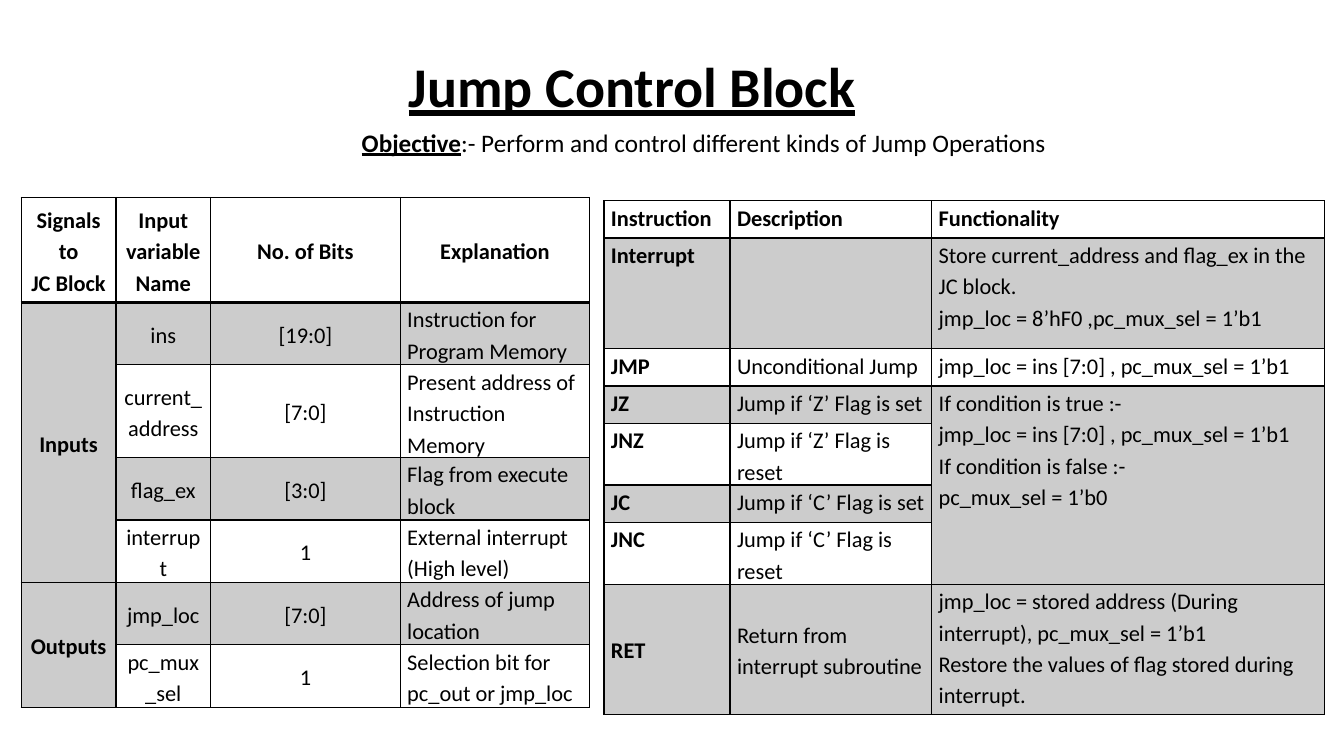
from dataclasses import dataclass

from lxml import etree
from pptx import Presentation
from pptx.dml.color import RGBColor
from pptx.enum.text import MSO_ANCHOR, PP_ALIGN
from pptx.oxml.ns import qn
from pptx.util import Inches, Pt

LEFT, CENTER = PP_ALIGN.LEFT, PP_ALIGN.CENTER
TOP, MIDDLE = MSO_ANCHOR.TOP, MSO_ANCHOR.MIDDLE
COLORS = {"ink": "000000"}
FONT = "Calibri"
SHADE_ALPHA = 20000  # 20 % in thousandths of a percent


@dataclass
class TableSpec:
    position: tuple[float, float]
    column_widths: list[float]
    row_heights: list[float]
    rows: list[list[str]]
    alignments: list[PP_ALIGN]
    merges: list[tuple[int, int, int]]  # first row, last row, column
    middle_cells: set[tuple[int, int]]


def style_run(run, size: float, bold: bool = False, underline: bool = False) -> None:
    run.font.name = FONT
    run.font.size = Pt(size)
    run.font.bold = bold
    run.font.underline = underline
    run.font.color.rgb = RGBColor.from_string(COLORS["ink"])


def add_paragraph_box(slide, left: float, top: float, width: float, height: float):
    frame = slide.shapes.add_textbox(
        Inches(left), Inches(top), Inches(width), Inches(height)).text_frame
    frame.word_wrap = True
    return frame.paragraphs[0]


def add_border(cell, side: str, points: float) -> None:
    line = etree.SubElement(cell._tc.get_or_add_tcPr(), qn(f"a:ln{side}"), w=str(Pt(points)))
    fill = etree.SubElement(line, qn("a:solidFill"))
    etree.SubElement(fill, qn("a:srgbClr"), val=COLORS["ink"])


def shade(cell) -> None:
    cell.fill.solid()
    cell.fill.fore_color.rgb = RGBColor.from_string(COLORS["ink"])
    color = cell._tc.tcPr.find(qn("a:solidFill")).find(qn("a:srgbClr"))
    etree.SubElement(color, qn("a:alpha"), val=str(SHADE_ALPHA))


def format_cell(cell, row: int, column: int, spec: TableSpec) -> None:
    cell.margin_left = cell.margin_right = Inches(0.07)
    cell.margin_top = cell.margin_bottom = 0
    cell.vertical_anchor = MIDDLE if (row, column) in spec.middle_cells else TOP

    # The rule under the header is heavier than the grid
    for side in "LRTB":
        under_header = (row, side) in ((0, "B"), (1, "T"))
        add_border(cell, side, 2 if under_header else 1)
    if row % 2:
        shade(cell)
    else:
        cell.fill.background()

    if cell.is_spanned:
        return
    cell.text_frame.text = spec.rows[row][column]
    for paragraph in cell.text_frame.paragraphs:
        paragraph.alignment = CENTER if row == 0 and CENTER in spec.alignments \
            else spec.alignments[column]
        paragraph.line_spacing = 1.15
        for run in paragraph.runs:
            style_run(run, 16, bold=row == 0 or column == 0)


def add_signal_table(slide, spec: TableSpec) -> None:
    left, top = spec.position
    table = slide.shapes.add_table(
        len(spec.rows), len(spec.column_widths), Inches(left), Inches(top),
        Inches(sum(spec.column_widths)), Inches(sum(spec.row_heights))).table
    table.first_row = table.horz_banding = False
    for column, width in zip(table.columns, spec.column_widths):
        column.width = Inches(width)
    for row, height in zip(table.rows, spec.row_heights):
        row.height = Inches(height)
    for first, last, column in spec.merges:
        table.cell(first, column).merge(table.cell(last, column))
    for row in range(len(spec.rows)):
        for column in range(len(spec.column_widths)):
            format_cell(table.cell(row, column), row, column, spec)


SIGNALS = TableSpec(
    position=(0.21, 1.96),
    column_widths=[0.94, 0.94, 1.88, 1.88],
    row_heights=[1.04, 0.62, 0.83] + [0.62] * 4,
    rows=[
        ["Signals to\nJC Block", "Input variable Name", "No. of Bits", "Explanation"],
        ["Inputs", "ins", "[19:0]", "Instruction for Program Memory"],
        ["", "current_address", "[7:0]", "Present address of Instruction Memory"],
        ["", "flag_ex", "[3:0]", "Flag from execute block"],
        ["", "interrupt", "1", "External interrupt (High level)"],
        ["Outputs", "jmp_loc", "[7:0]", "Address of jump location"],
        ["", "pc_mux_sel", "1", "Selection bit for pc_out or jmp_loc"],
    ],
    alignments=[CENTER, CENTER, CENTER, LEFT],
    merges=[(1, 4, 0), (5, 6, 0)],
    middle_cells={(row, column) for row in range(7) for column in range(4)},
)

INSTRUCTIONS = TableSpec(
    position=(5.99, 1.99),
    column_widths=[1.25, 2, 3.9],
    row_heights=[0.37, 1.1, 0.37, 0.37, 0.55, 0.37, 0.55, 1.29],
    rows=[
        ["Instruction", "Description", "Functionality"],
        ["Interrupt", "", "Store current_address and flag_ex in the JC block.\n"
                          "jmp_loc = 8’hF0 ,pc_mux_sel = 1’b1"],
        ["JMP", "Unconditional Jump", "jmp_loc = ins [7:0] , pc_mux_sel = 1’b1"],
        ["JZ", "Jump if ‘Z’ Flag is set", "If condition is true :-\n"
                                          "jmp_loc = ins [7:0] , pc_mux_sel = 1’b1\n"
                                          "If condition is false :-\n"
                                          "pc_mux_sel = 1’b0"],
        ["JNZ", "Jump if ‘Z’ Flag is reset", ""],
        ["JC", "Jump if ‘C’ Flag is set", ""],
        ["JNC", "Jump if ‘C’ Flag is reset", ""],
        ["RET", "Return from interrupt subroutine",
         "jmp_loc = stored address (During interrupt), pc_mux_sel = 1’b1\n"
         "Restore the values of flag stored during interrupt."],
    ],
    alignments=[LEFT, LEFT, LEFT],
    merges=[(3, 6, 2)],
    middle_cells={(7, 0), (7, 1)},
)


def main() -> None:
    presentation = Presentation()
    presentation.slide_width = Inches(13.33)
    presentation.slide_height = Inches(7.5)
    slide = presentation.slides.add_slide(presentation.slide_layouts[6])

    # Title
    title = add_paragraph_box(slide, 1.82, 0.46, 8.9, 0.77)
    title.text = "Jump Control Block"
    title.alignment = CENTER
    style_run(title.runs[0], 40, bold=True, underline=True)

    # Objective, indented from the left edge of its box
    objective = add_paragraph_box(slide, 2.18, 1.21, 8.9, 0.4)
    objective._p.get_or_add_pPr().set("marL", str(Inches(1.31)))
    for text, is_label in (
            ("Objective", True),
            (":- Perform and control different kinds of Jump Operations", False)):
        run = objective.add_run()
        run.text = text
        style_run(run, 18, bold=is_label, underline=is_label)

    # Signal and instruction tables
    for spec in (SIGNALS, INSTRUCTIONS):
        add_signal_table(slide, spec)

    presentation.save("out.pptx")


if __name__ == "__main__":
    main()
